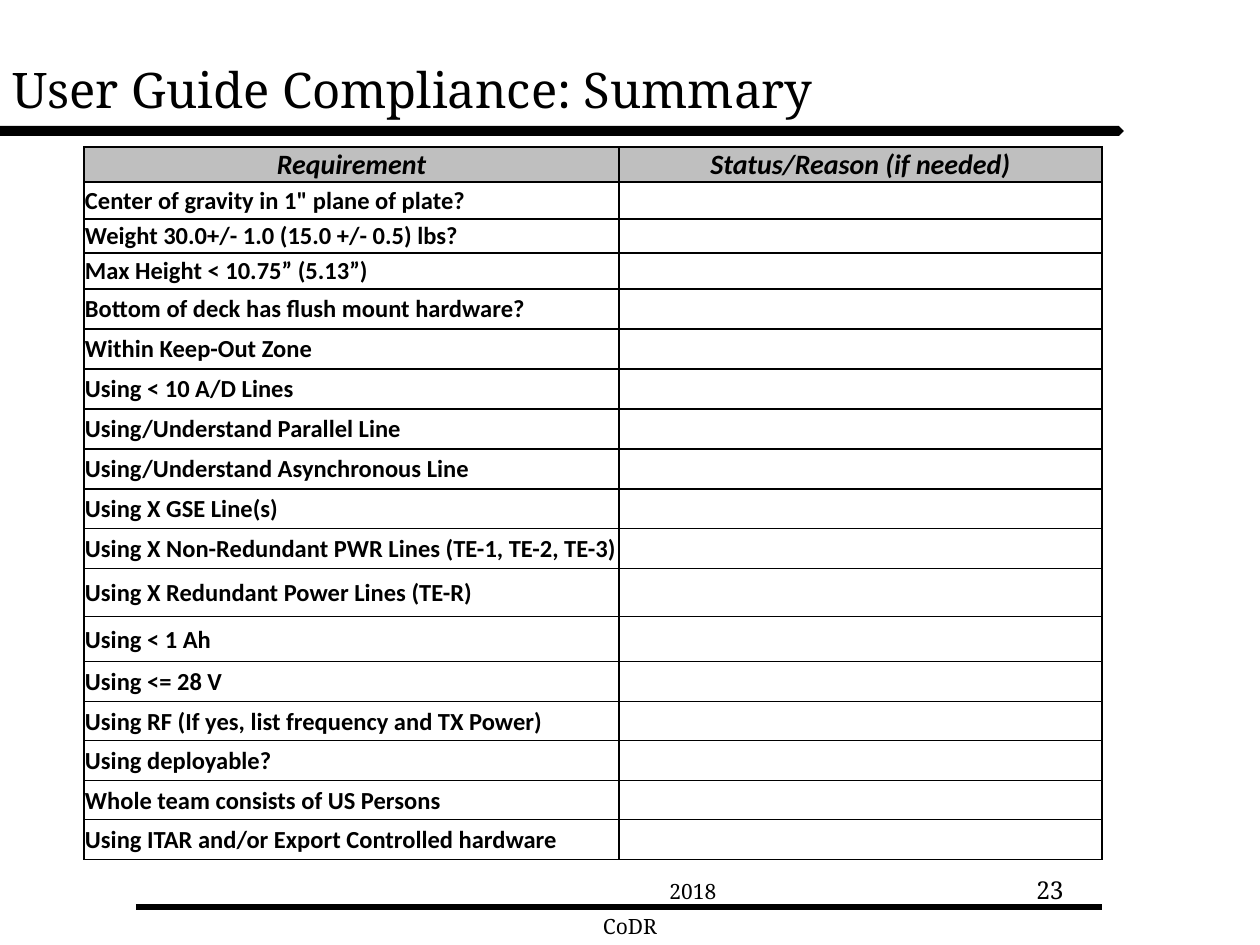
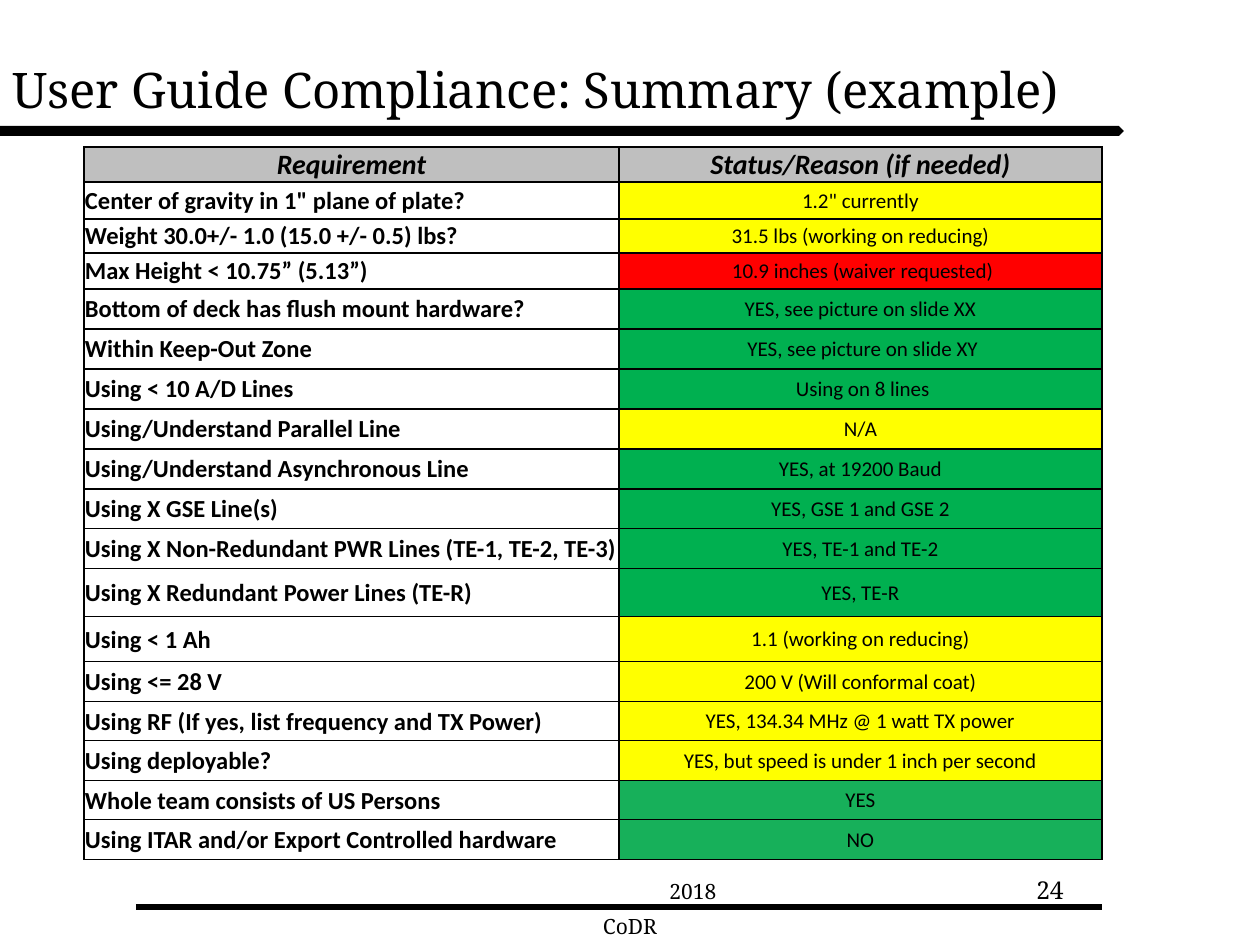
from lxml import etree
from pptx import Presentation
from pptx.dml.color import RGBColor
from pptx.enum.shapes import MSO_CONNECTOR, MSO_SHAPE
from pptx.enum.text import MSO_ANCHOR, PP_ALIGN
from pptx.oxml.ns import qn
from pptx.util import Emu, Pt

LEFT, CENTER = PP_ALIGN.LEFT, PP_ALIGN.CENTER
TOP, MIDDLE, BOTTOM = MSO_ANCHOR.TOP, MSO_ANCHOR.MIDDLE, MSO_ANCHOR.BOTTOM
STRAIGHT, PENTAGON = MSO_CONNECTOR.STRAIGHT, MSO_SHAPE.PENTAGON

SCALE = 914400 // 126
SERIF, SANS = "Noto Serif", "Calibri"
BLACK, WHITE, GREY = "000000", "FFFFFF", "BFBFBF"
YELLOW, RED, GREEN, SOFT_GREEN = "FFFF00", "FF0000", "00B050", "17B05A"

HEADINGS = ("Requirement", "Status/Reason (if needed)")
REQUIREMENTS = [
    'Center of gravity in 1" plane of plate?',
    "Weight 30.0+/- 1.0 (15.0 +/- 0.5) lbs?",
    "Max Height < 10.75” (5.13”)",
    "Bottom of deck has flush mount hardware?",
    "Within Keep-Out Zone",
    "Using < 10 A/D Lines",
    "Using/Understand Parallel Line",
    "Using/Understand Asynchronous Line",
    "Using X GSE Line(s)",
    "Using X Non-Redundant PWR Lines (TE-1, TE-2, TE-3)",
    "Using X Redundant Power Lines (TE-R)",
    "Using < 1 Ah",
    "Using <= 28 V",
    "Using RF (If yes, list frequency and TX Power)",
    "Using deployable?",
    "Whole team consists of US Persons",
    "Using ITAR and/or Export Controlled hardware",
]
BLANK_STATUSES = [("", WHITE)] * len(REQUIREMENTS)
EXAMPLE_STATUSES = [
    ('1.2" currently', YELLOW),
    ("31.5 lbs (working on reducing)", YELLOW),
    ("\u00a010.9 inches (waiver requested)", RED),
    ("YES, see picture on slide XX", GREEN),
    ("\u00a0YES, see picture on slide XY", GREEN),
    ("\u00a0Using on 8 lines", GREEN),
    ("N/A", YELLOW),
    ("YES, at 19200 Baud", GREEN),
    ("YES, GSE 1 and GSE 2", GREEN),
    ("YES, TE-1 and TE-2", GREEN),
    ("YES, TE-R", GREEN),
    ("1.1 (working on reducing)", YELLOW),
    ("200 V (Will conformal coat)", YELLOW),
    ("YES, 134.34 MHz @ 1 watt TX power", YELLOW),
    ("YES, but speed is under 1 inch per second", YELLOW),
    ("YES", SOFT_GREEN),
    ("NO", SOFT_GREEN),
]
SLIDES = [
    ("User Guide Compliance: Summary", "23", BLANK_STATUSES),
    ("User Guide Compliance: Summary (example)", "24", EXAMPLE_STATUSES),
]

TABLE_LEFT, TABLE_TOP = 84, 147
COLUMN_WIDTHS = [535, 483]
ROW_HEIGHTS = [35, 37, 34, 36] + [40] * 7 + [48, 45] + [40, 39, 40, 39, 40]


def px(*lengths):
    """Turn picture pixels into a list of EMU lengths."""
    return [Emu(length * SCALE) for length in lengths]


def color(code):
    """Turn a hex string into a colour."""
    return RGBColor.from_string(code)


def write(frame, text, size, font, align=LEFT, anchor=TOP, bold=False, italic=False):
    """Put one formatted paragraph into a text frame."""
    frame.word_wrap = True
    frame.vertical_anchor = anchor
    paragraph = frame.paragraphs[0]
    if text:
        paragraph.text = text
    paragraph.alignment = align
    style = paragraph.font
    style.name, style.size, style.bold, style.italic = font, Pt(size), bold, italic
    style.color.rgb = color(BLACK)


def add_label(slide, box, text, size):
    """Add a centred serif text box."""
    write(slide.shapes.add_textbox(*px(*box)).text_frame, text, size, SERIF, CENTER)


def add_frame(slide, title, number):
    """Add the title, its band, and the footer with its rule."""
    band = slide.shapes.add_shape(PENTAGON, *px(0, 126, 1124, 10))
    band.shadow.inherit = False
    band.fill.solid()
    band.fill.fore_color.rgb = color(BLACK)
    band.line.fill.background()

    heading = slide.shapes.title
    heading.left, heading.top, heading.width, heading.height = px(0, 10, 1134, 158)
    write(heading.text_frame, title, 28, SERIF, anchor=MIDDLE)

    rule = slide.shapes.add_connector(STRAIGHT, *px(136, 907, 1102, 907))
    rule.line.color.rgb = color(BLACK)
    rule.line.width = Pt(3)
    etree.SubElement(rule._element.spPr, qn("a:effectLst"))

    add_label(slide, (504, 872, 378, 38), "2018", 12)
    add_label(slide, (441, 907, 378, 38), "CoDR", 12)
    add_label(slide, (903, 869, 294, 66), number, 14)


def format_cell(cell, fill):
    """Give a cell tight margins, a fill and thin black borders."""
    cell.margin_left, cell.margin_right, cell.margin_top, cell.margin_bottom = px(1, 1, 1, 0)
    properties = cell._tc.get_or_add_tcPr()
    for side in ("a:lnL", "a:lnR", "a:lnT", "a:lnB"):
        border = etree.SubElement(properties, qn(side), w=str(Pt(1)))
        paint = etree.SubElement(border, qn("a:solidFill"))
        etree.SubElement(paint, qn("a:srgbClr"), val=BLACK)
    cell.fill.solid()
    cell.fill.fore_color.rgb = color(fill)


def write_cell(cell, text, size, fill, anchor=MIDDLE, **style):
    """Fill in one table cell; an empty one keeps its small type size."""
    write(cell.text_frame, text, size, SANS, **style)
    cell.vertical_anchor = anchor
    format_cell(cell, fill)
    if not text:
        paragraph = cell.text_frame.paragraphs[0]._p
        etree.SubElement(paragraph, qn("a:endParaRPr"), sz=str(size * 100))


def add_checklist(slide, statuses):
    """Add the table of requirements and their statuses."""
    box = px(TABLE_LEFT, TABLE_TOP, sum(COLUMN_WIDTHS), sum(ROW_HEIGHTS))
    table = slide.shapes.add_table(len(ROW_HEIGHTS), len(COLUMN_WIDTHS), *box).table
    for column, width in zip(table.columns, px(*COLUMN_WIDTHS)):
        column.width = width
    for row, height in zip(table.rows, px(*ROW_HEIGHTS)):
        row.height = height
    for column, heading in enumerate(HEADINGS):
        write_cell(table.cell(0, column), heading, 16, GREY, BOTTOM,
                   align=CENTER, bold=True, italic=True)
    for row, (requirement, (status, fill)) in enumerate(zip(REQUIREMENTS, statuses), 1):
        write_cell(table.cell(row, 0), requirement, 14, WHITE, bold=True)
        write_cell(table.cell(row, 1), status, 12, fill, align=CENTER)


deck = Presentation()
deck.slide_width, deck.slide_height = px(1260, 945)
title_only = deck.slide_layouts[5]
for title, number, statuses in SLIDES:
    slide = deck.slides.add_slide(title_only)
    add_frame(slide, title, number)
    add_checklist(slide, statuses)
deck.save("out.pptx")
